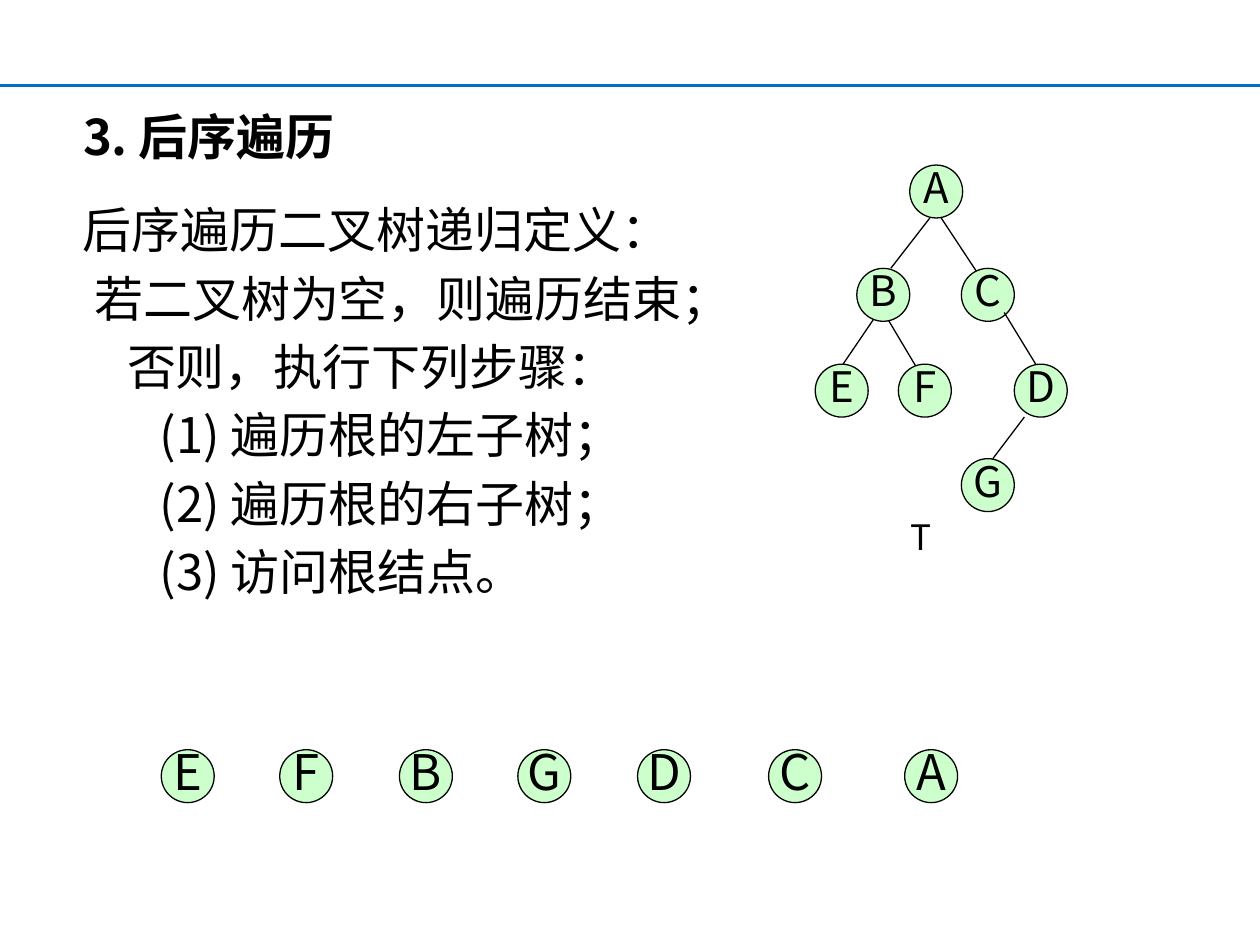
from dataclasses import dataclass

from lxml.etree import SubElement
from pptx import Presentation
from pptx.dml.color import RGBColor
from pptx.enum.shapes import MSO_CONNECTOR, MSO_SHAPE
from pptx.enum.text import MSO_ANCHOR, MSO_AUTO_SIZE, PP_ALIGN
from pptx.oxml.ns import qn
from pptx.util import Inches, Pt


@dataclass(frozen=True)
class Theme:
    face: str = "Noto Sans CJK SC"
    ink: RGBColor = RGBColor(0, 0, 0)
    rule: RGBColor = RGBColor(0x00, 0x70, 0xC0)
    node: RGBColor = RGBColor(0xCC, 0xFF, 0xCC)
    body_size: int = 28
    tree_size: int = 24
    caption_size: int = 20
    body_pitch: float = 39.1
    diameter: float = 0.42


NO_MARGINS = dict.fromkeys(
    ("margin_left", "margin_top", "margin_right", "margin_bottom"), 0)
LEFT_TOP = {"vertical_anchor": MSO_ANCHOR.TOP, "auto_size": MSO_AUTO_SIZE.NONE}


def apply(target, values):
    for name, value in values.items():
        setattr(target, name, value)


class TraversalSlide:
    def __init__(self, deck, theme):
        self.theme = theme
        self.slide = deck.slides.add_slide(deck.slide_layouts[5])

    def put_text(self, paragraph, text, size, bold=False, **layout):
        apply(paragraph, layout)
        run = paragraph.add_run()
        run.text = text
        apply(run.font, {"name": self.theme.face, "size": Pt(size), "bold": bold})
        run.font.color.rgb = self.theme.ink
        SubElement(run.font._element, qn("a:ea"), typeface=self.theme.face)

    def title(self, text, left, top, width, height):
        heading = self.slide.shapes.title
        apply(heading, {"left": Inches(left), "top": Inches(top),
                        "width": Inches(width), "height": Inches(height)})
        apply(heading.text_frame, {**LEFT_TOP, "word_wrap": True})
        self.put_text(heading.text_frame.paragraphs[0], text, self.theme.body_size, True,
                      alignment=PP_ALIGN.LEFT, line_spacing=Pt(self.theme.body_pitch))

    def body(self, lines, left, top, width, height):
        frame = self.slide.shapes.add_textbox(
            Inches(left), Inches(top), Inches(width), Inches(height)).text_frame
        apply(frame, {**LEFT_TOP, "word_wrap": True})
        for index, (indent, text) in enumerate(lines):
            paragraph = frame.add_paragraph() if index else frame.paragraphs[0]
            paragraph._p.get_or_add_pPr().set("marL", str(Inches(indent)))
            self.put_text(paragraph, text, self.theme.body_size,
                          line_spacing=Pt(self.theme.body_pitch))

    def caption(self, text, left, top, width, height):
        frame = self.slide.shapes.add_textbox(
            Inches(left), Inches(top), Inches(width), Inches(height)).text_frame
        apply(frame, {**LEFT_TOP, "word_wrap": False})
        self.put_text(frame.paragraphs[0], text, self.theme.caption_size)

    def line(self, start, end, color, weight=0.75):
        edge = self.slide.shapes.add_connector(
            MSO_CONNECTOR.STRAIGHT, *map(Inches, (*start, *end)))
        edge.line.color.rgb = color
        edge.line.width = Pt(weight)
        SubElement(edge._element.spPr, qn("a:effectLst"))

    def node(self, label, left, top, size):
        diameter = Inches(self.theme.diameter)
        circle = self.slide.shapes.add_shape(
            MSO_SHAPE.OVAL, Inches(left), Inches(top), diameter, diameter)
        circle.shadow.inherit = False
        circle.fill.solid()
        circle.fill.fore_color.rgb = self.theme.node
        circle.line.color.rgb = self.theme.ink
        circle.line.width = Pt(0.75)
        apply(circle.text_frame, {**NO_MARGINS, "word_wrap": False,
                                  "vertical_anchor": MSO_ANCHOR.MIDDLE})
        self.put_text(circle.text_frame.paragraphs[0], label, size,
                      alignment=PP_ALIGN.CENTER, line_spacing=0.8)


DEFINITION = [
    (0, "后序遍历二叉树递归定义："),
    (0.09, "若二叉树为空，则遍历结束；"),
    (0.35, "否则，执行下列步骤："),
    (0.61, "(1) 遍历根的左子树；"),
    (0.61, "(2) 遍历根的右子树；"),
    (0.61, "(3) 访问根结点。"),
]
TREE = {"A": (7.22, 1.31), "B": (6.8, 2.13), "C": (7.63, 2.13), "E": (6.47, 2.89),
        "F": (7.13, 2.89), "D": (8.05, 2.89), "G": (7.63, 3.64)}
UPPER_EDGES = [((7.38, 1.73), (7.07, 2.13)), ((7.47, 1.73), (7.8, 2.23)),
               ((6.97, 2.48), (6.63, 2.98)), ((7.05, 2.54), (7.3, 2.96))]
LOWER_EDGES = [((7.97, 2.48), (8.22, 2.89)), ((8.13, 3.31), (7.88, 3.64))]
VISIT_ORDER = dict(zip("EFBGDCA", (1.28, 2.22, 3.17, 4.11, 5.06, 6.1, 7.18)))
VISIT_TOP = 5.95


def main():
    deck = Presentation()
    apply(deck, {"slide_width": Inches(10), "slide_height": Inches(7.5)})
    theme = Theme()
    page = TraversalSlide(deck, theme)
    page.line((0, 0.68), (10, 0.68), theme.rule, 1.5)
    page.title("3. 后序遍历", 0.56, 0.72, 5.49, 0.65)
    page.body(DEFINITION, 0.56, 1.46, 5.49, 3.4)
    page.caption("T", 7.13, 4.04, 0.34, 0.43)
    for start, end in UPPER_EDGES:
        page.line(start, end, theme.ink)
    for label, (left, top) in TREE.items():
        page.node(label, left, top, theme.tree_size)
    for start, end in LOWER_EDGES:
        page.line(start, end, theme.ink)
    for label, left in VISIT_ORDER.items():
        page.node(label, left, VISIT_TOP, theme.body_size)
    deck.save("out.pptx")


if __name__ == "__main__":
    main()
